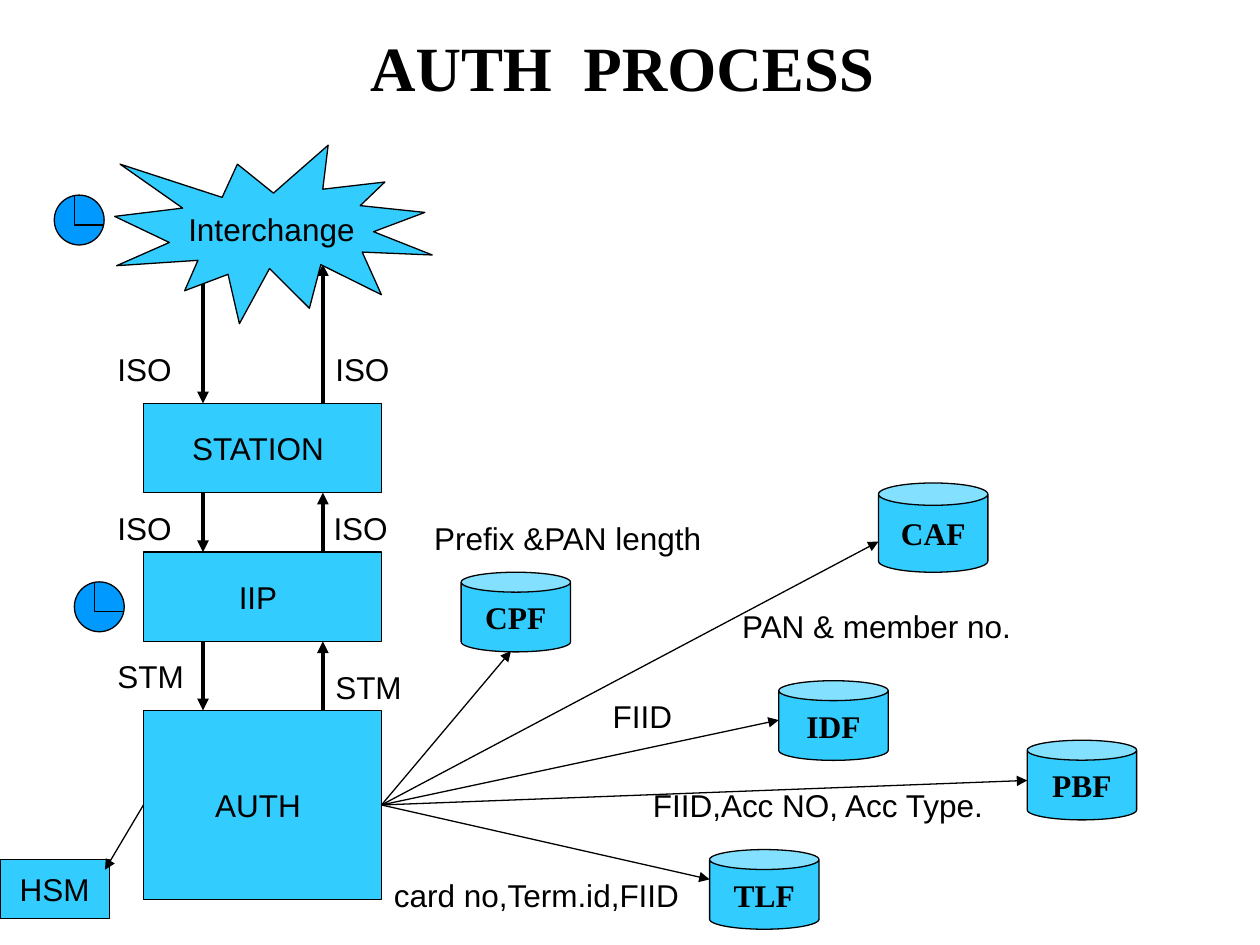
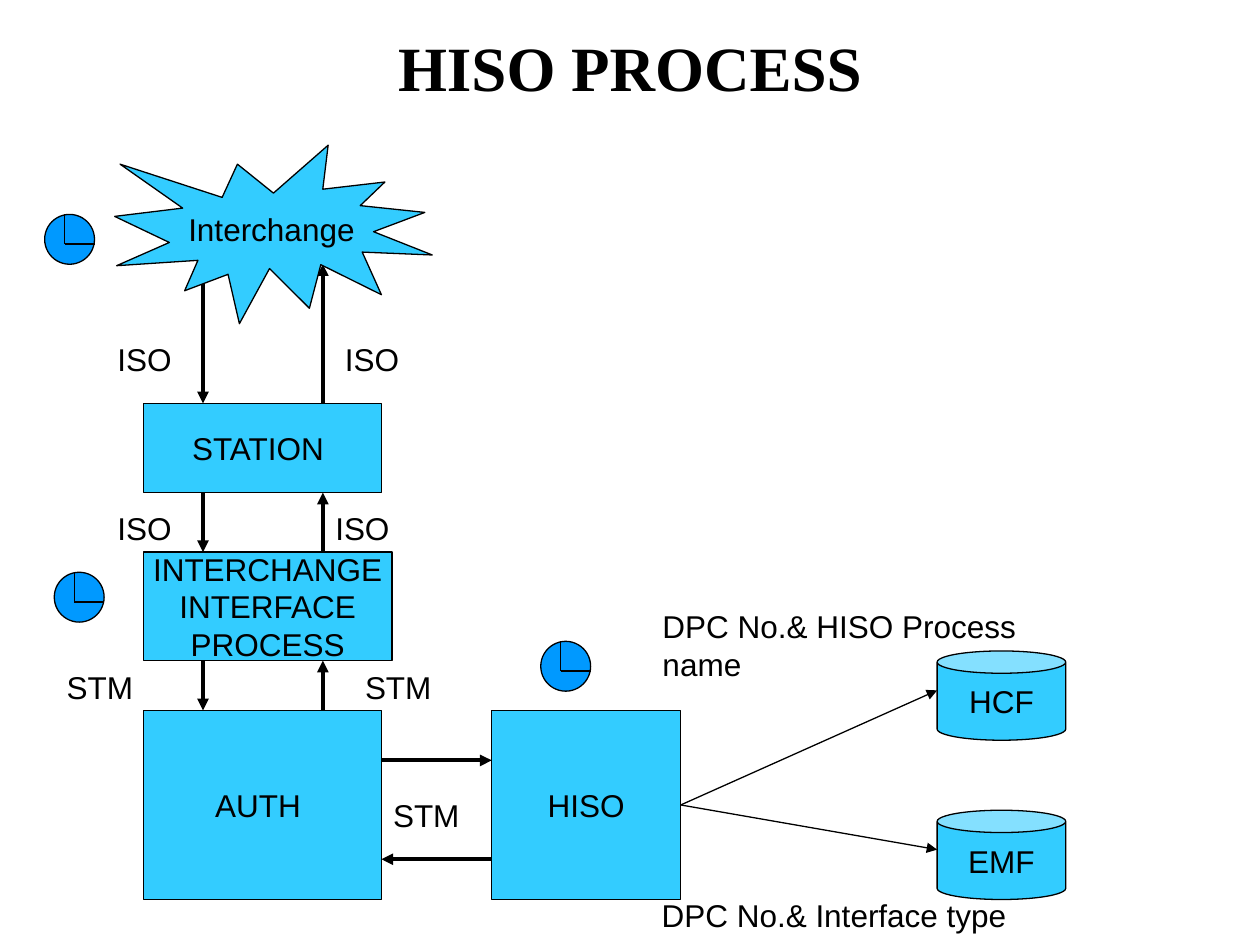
"""Build two process-flow slides that share one message stack."""
from lxml import etree
from pptx import Presentation
from pptx.dml.color import RGBColor
from pptx.enum import shapes, text
from pptx.oxml.ns import qn
from pptx.util import Pt

BLACK, BOX_BLUE, CLOCK_BLUE = "000000", "33CCFF", "0099FF"
SANS, SERIF = "Arial", "Times New Roman"
SHAPE = shapes.MSO_SHAPE
DOWN_X, UP_X = 116, 184.5


def rgb(value):
    return RGBColor.from_string(value)


def write(tf, lines, size=18, font=SANS, bold=False, align=text.PP_ALIGN.CENTER):
    for i, line in enumerate(lines.split("\n")):
        p = tf.add_paragraph() if i else tf.paragraphs[0]
        p.alignment = align
        r = p.add_run()
        r.text = line
        r.font.size, r.font.name, r.font.bold = Pt(size), font, bold
        r.font.color.rgb = rgb(BLACK)


class Deck:
    def __init__(self):
        self.prs = Presentation()
        self.prs.slide_width, self.prs.slide_height = Pt(720), Pt(540)
        self.s = None

    def slide(self, title, nudge=0):
        self.s = self.prs.slides.add_slide(self.prs.slide_layouts[5])
        sp = self.s.shapes.title
        sp.left, sp.top, sp.width, sp.height = Pt(36), Pt(15), Pt(648), Pt(46)
        tf = sp.text_frame
        tf.auto_size = text.MSO_AUTO_SIZE.NONE
        tf.vertical_anchor = text.MSO_ANCHOR.MIDDLE
        tf.margin_right = Pt(7.2 + nudge)
        write(tf, title, size=36, font=SERIF, bold=True)

    def shape(self, kind, x, y, w, h, label="", fill=BOX_BLUE, nudge=0, **fmt):
        sp = self.s.shapes.add_shape(kind, Pt(x), Pt(y), Pt(w), Pt(h))
        sp.shadow.inherit = False
        sp.fill.solid()
        sp.fill.fore_color.rgb = rgb(fill)
        sp.line.color.rgb = rgb(BLACK)
        sp.line.width = Pt(0.75)
        if label:
            tf = sp.text_frame
            tf.word_wrap = False
            tf.vertical_anchor = text.MSO_ANCHOR.MIDDLE
            tf.margin_right = Pt(7.2 + nudge)
            write(tf, label, **fmt)
        return sp

    def box(self, *args, **fmt):
        return self.shape(SHAPE.RECTANGLE, *args, **fmt)

    def can(self, *args, **fmt):
        return self.shape(SHAPE.CAN, *args, **fmt)

    def label(self, x, y, words, w=65.5, h=29):
        tf = self.s.shapes.add_textbox(Pt(x), Pt(y), Pt(w), Pt(h)).text_frame
        tf.word_wrap = True
        tf.auto_size = text.MSO_AUTO_SIZE.SHAPE_TO_FIT_TEXT
        write(tf, words, align=text.PP_ALIGN.LEFT)

    def line(self, x1, y1, x2, y2, width=0.75, arrow=True, start=None):
        c = self.s.shapes.add_connector(
            shapes.MSO_CONNECTOR.STRAIGHT, Pt(x1), Pt(y1), Pt(x2), Pt(y2))
        c.line.color.rgb = rgb(BLACK)
        c.line.width = Pt(width)
        spPr = c._element.spPr
        if arrow:
            etree.SubElement(spPr.find(qn("a:ln")), qn("a:tailEnd"), type="triangle")
        etree.SubElement(spPr, qn("a:effectLst"))
        if start:
            c.begin_connect(*start)

    def fan(self, source, side, x, y, targets):
        for end in targets:
            self.line(x, y, *end, start=(source, side))

    def clock(self, x, y):
        self.shape(SHAPE.OVAL, x, y, 28.5, 28.5, fill=CLOCK_BLUE)
        self.line(x + 11.5, y, x + 11.5, y + 17, arrow=False)
        self.line(x + 11.5, y + 17, x + 28.5, y + 17, arrow=False)

    def stack(self, interface, w, h, nudge=0):
        self.box(82, 230.5, 136, 51, "STATION", nudge=5)
        self.box(82, 315.5, w, h, interface, nudge=nudge)
        auth = self.box(82, 406, 136, 108, "AUTH", nudge=5)
        gaps = [(162, 151, 230.5), (281.5, 281.5, 315.5), (315.5 + h, 315.5 + h, 406)]
        for down_from, up_to, lower in gaps:
            self.line(DOWN_X, down_from, DOWN_X, lower, width=2.25)
            self.line(UP_X, lower, UP_X, up_to, width=2.25)
        self.shape(SHAPE.EXPLOSION1, 65.5, 83, 181.5, 102, "Interchange")
        return auth


def auth_slide(deck):
    deck.slide("AUTH  PROCESS", nudge=9)
    auth = deck.stack("IIP", 136, 51, nudge=5)
    files = [("CAF", 502, 276, 51), ("PBF", 587, 423, 45.5), ("CPF", 263.5, 327, 45.5),
             ("IDF", 445, 389, 45.5), ("TLF", 405.5, 485.5, 45.5)]
    for name, x, y, h in files:
        deck.can(x, y, 62.5, h, name, font=SERIF, bold=True)
    deck.fan(auth, 3, 218, 457, [(292, 372), (502, 309.5), (445, 411.5),
                                 (587, 446), (405.5, 502.5)])
    for x, y, words in [(60, 196.5, "ISO"), (184.5, 196.5, "ISO"),
                        (60, 287.5, "ISO"), (183.5, 287.5, "ISO"),
                        (60, 372, "STM"), (184.5, 378, "STM")]:
        deck.label(x, y, words)
    for x, y, words in [(241, 293, "Prefix &PAN length"), (417, 343.5, "PAN & member no."),
                        (343, 394.5, "FIID"), (366, 445.5, "FIID,Acc NO, Acc Type."),
                        (218, 497, "card no,Term.id,FIID")]:
        deck.label(x, y, words, w=221)
    deck.box(0, 491, 62.5, 34, "HSM")
    deck.fan(auth, 1, 82, 463, [(60, 497)])
    deck.clock(42.5, 332.5)
    deck.clock(31, 111.5)


def hiso_slide(deck):
    deck.slide("HISO PROCESS")
    auth_right, hiso_left = 218, 281
    deck.stack("INTERCHANGE\nINTERFACE\nPROCESS", 142, 62)
    hiso = deck.box(hiso_left, 406, 108, 108, "HISO")
    deck.line(auth_right, 434.5, hiso_left, 434.5, width=2.25)
    deck.line(hiso_left, 491, auth_right, 491, width=2.25)
    for name, y in [("HCF", 372), ("EMF", 463)]:
        deck.can(535.5, y, 73.5, 51, name)
    deck.fan(hiso, 3, 389, 457, [(535.5, 394.5), (535.5, 485.5)])
    for x, y, words in [(60, 191, "ISO"), (190, 191, "ISO"),
                        (60, 287.5, "ISO"), (184.5, 287.5, "ISO"),
                        (31, 378, "STM"), (201.5, 378, "STM"), (217.5, 451.5, "STM")]:
        deck.label(x, y, words)
    deck.label(371.5, 343.5, "DPC No.& HISO Process name", w=221, h=50.5)
    deck.label(371, 508.5, "DPC No.& Interface type", w=221)
    for x, y in [(309, 366.5), (25.5, 122.5), (31, 327)]:
        deck.clock(x, y)


def main():
    deck = Deck()
    auth_slide(deck)
    hiso_slide(deck)
    deck.prs.save("out.pptx")


if __name__ == "__main__":
    main()
